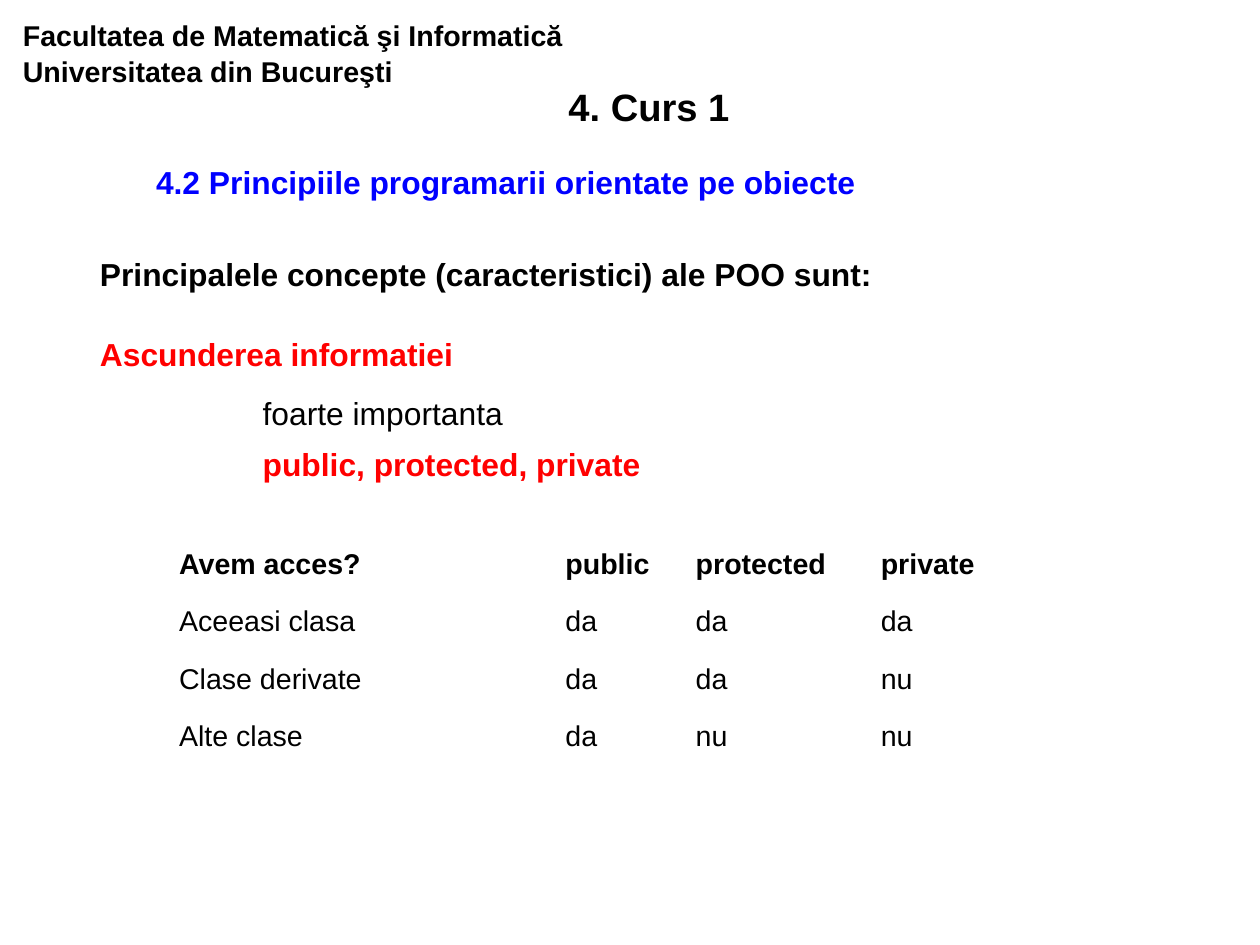
from pptx import Presentation
from pptx.dml.color import RGBColor
from pptx.enum.text import MSO_ANCHOR, PP_ALIGN
from pptx.util import Pt

CENTER, LEFT = PP_ALIGN.CENTER, PP_ALIGN.LEFT
MIDDLE, TOP = MSO_ANCHOR.MIDDLE, MSO_ANCHOR.TOP
BLACK, BLUE, RED, WHITE = "000000", "0000FF", "FF0000", "FFFFFF"
FONT = "Arial"

ACCESS = [
    ["Avem acces?", "public", "protected", "private"],
    ["Aceeasi clasa", "da", "da", "da"],
    ["Clase derivate", "da", "da", "nu"],
    ["Alte clase", "da", "nu", "nu"],
]


def rgb(value):
    return RGBColor.from_string(value)


def write(p, text, size, color=BLACK, bold=True, **layout):
    """Put one run in a paragraph; layout holds paragraph attributes."""
    for name, value in layout.items():
        setattr(p, name, value)
    r = p.add_run()
    r.text = text
    for name, value in {"name": FONT, "size": Pt(size), "bold": bold}.items():
        setattr(r.font, name, value)
    r.font.color.rgb = rgb(color)


def add_box(slide, box, margins=(7.2, 3.6)):
    """Add an empty text box and return its text frame."""
    tf = slide.shapes.add_textbox(*map(Pt, box)).text_frame
    side, end = map(Pt, margins)
    frame = {"word_wrap": True, "vertical_anchor": TOP,
             "margin_left": side, "margin_right": side,
             "margin_top": end, "margin_bottom": end}
    for name, value in frame.items():
        setattr(tf, name, value)
    return tf


def add_institution(slide, box):
    tf = add_box(slide, box, (7.9, 4.3))
    write(tf.paragraphs[0],
          "Facultatea de Matematică şi Informatică Universitatea din Bucureşti",
          18, line_spacing=1.04, alignment=LEFT)


def add_course_title(slide, box):
    tf = add_box(slide, box, (0, 0.7))
    write(tf.paragraphs[0], "4. Curs 1", 24, alignment=CENTER)


def add_section_title(slide, box):
    p = add_box(slide, box).paragraphs[0]
    write(p, "4.2 Principiile programarii orientate pe obiecte", 20, BLUE,
          line_spacing=1.5)
    pPr = p._p.get_or_add_pPr()
    pPr.set("marL", str(Pt(90)))
    pPr.set("indent", str(Pt(-17.3)))


def add_concepts(slide, box):
    tf = add_box(slide, box)
    write(tf.paragraphs[0],
          "Principalele concepte (caracteristici) ale POO sunt:", 20,
          line_spacing=1.04)
    write(tf.add_paragraph(), "Ascunderea informatiei", 20, RED,
          line_spacing=1.04, space_before=Pt(25))


def add_access_levels(slide, box):
    tf = add_box(slide, box)
    write(tf.paragraphs[0], "foarte importanta", 20, bold=False)
    write(tf.add_paragraph(), "public, protected, private", 20, RED,
          space_before=Pt(8))


def add_access_table(slide, box):
    widths = [243.4, 82.1, 116.6, 91.4]
    table = slide.shapes.add_table(len(ACCESS), len(widths),
                                   *map(Pt, box)).table
    table.first_row = table.horz_banding = False
    for column, width in zip(table.columns, widths):
        column.width = Pt(width)
    cell_format = {"vertical_anchor": MIDDLE,
                   "margin_left": Pt(7.2), "margin_right": Pt(7.2),
                   "margin_top": Pt(5.8), "margin_bottom": Pt(3.6)}
    for i, row in enumerate(ACCESS):
        table.rows[i].height = Pt(box[3] / len(ACCESS))
        for j, text in enumerate(row):
            cell = table.cell(i, j)
            for name, value in cell_format.items():
                setattr(cell, name, value)
            cell.fill.solid()
            cell.fill.fore_color.rgb = rgb(WHITE)
            write(cell.text_frame.paragraphs[0], text, 18, bold=i == 0,
                  line_spacing=0.89)


def main():
    prs = Presentation()
    prs.slide_width, prs.slide_height = Pt(793.7), Pt(595.28)
    slide = prs.slides.add_slide(prs.slide_layouts[6])
    add_institution(slide, (6.5, 6.2, 396.7, 51.8))
    add_course_title(slide, (306.9, 51.8, 203.8, 30.2))
    add_section_title(slide, (18.5, 87.1, 665.3, 36))
    add_concepts(slide, (55.9, 156.2, 689, 131))
    add_access_levels(slide, (158.4, 244.5, 403.2, 72))
    add_access_table(slide, (105.6, 337.3, 533.5, 144.8))
    prs.save("out.pptx")


if __name__ == "__main__":
    main()
